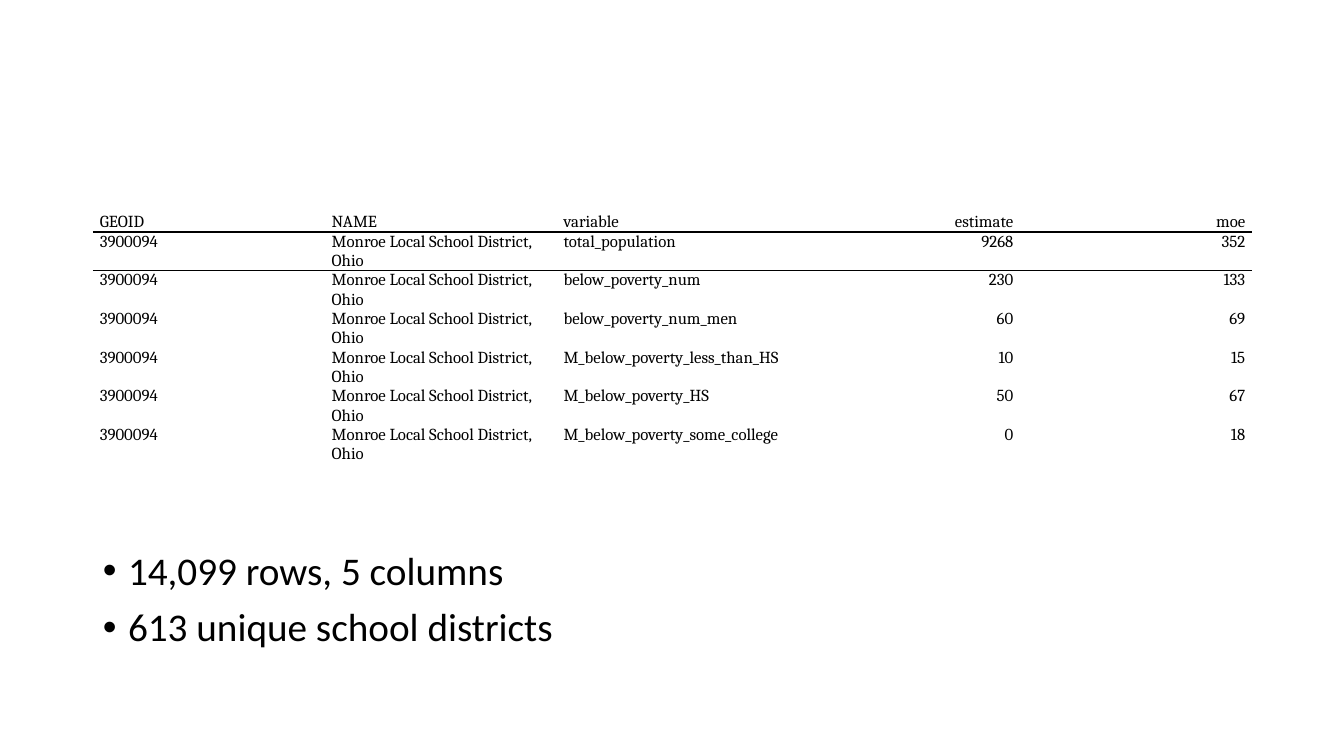
from pptx import Presentation, util as u
from pptx.dml.color import RGBColor
from pptx.enum import text
from pptx.oxml import parse_xml
from pptx.oxml.ns import nsdecls

BLACK = RGBColor(0x00, 0x00, 0x00)
NO_STYLE = "{2D5ABB26-0587-4C30-8999-92F81FD0307C}"
LEFT, RIGHT = text.PP_ALIGN.LEFT, text.PP_ALIGN.RIGHT

HEADER = ("GEOID", "NAME", "variable", "estimate", "moe")
DISTRICT = ("3900094", "Monroe Local School District, Ohio")
ESTIMATES = [
    ("total_population", "9268", "352"),
    ("below_poverty_num", "230", "133"),
    ("below_poverty_num_men", "60", "69"),
    ("M_below_poverty_less_than_HS", "10", "15"),
    ("M_below_poverty_HS", "50", "67"),
    ("M_below_poverty_some_college", "0", "18"),
]
COL_WIDTHS = (2.3, 2.3, 2.71, 1.89, 2.3)
HEADER_HEIGHT, ROW_HEIGHT = 0.19, 0.38
FACTS = ("14,099 rows, 5 columns", "613 unique school districts")


def write(p, content, font, size, align=LEFT, before=0, after=0, spacing=1.0):
    p.alignment = align
    p.space_before, p.space_after = u.Pt(before), u.Pt(after)
    p.line_spacing = spacing
    r = p.add_run()
    r.text = content
    r.font.name, r.font.size = font, u.Pt(size)
    r.font.color.rgb = BLACK


def add_border(cell, side):
    cell._tc.get_or_add_tcPr().insert(0, parse_xml(
        f'<a:ln{side} {nsdecls("a")} w="12700"><a:solidFill>'
        f'<a:srgbClr val="{BLACK}"/></a:solidFill></a:ln{side}>'))


def fact_list(sp, left, top, width, height):
    """Bulleted facts along the bottom of the body placeholder."""
    sp.left, sp.top, sp.width, sp.height = map(
        u.Inches, (left, top, width, height))
    tf = sp.text_frame
    tf.vertical_anchor = text.MSO_ANCHOR.BOTTOM
    tf.margin_bottom = u.Inches(0.31)
    for i, fact in enumerate(FACTS):
        p = tf.add_paragraph() if i else tf.paragraphs[0]
        write(p, fact, "Calibri", 28, before=10, spacing=0.9)
        pPr = p._p.get_or_add_pPr()
        pPr.set("marL", str(u.Inches(0.25)))
        pPr.set("indent", str(u.Inches(-0.25)))
        pPr.append(parse_xml(f'<a:buFont {nsdecls("a")} typeface="Arial"/>'))
        pPr.append(parse_xml(f'<a:buChar {nsdecls("a")} char="•"/>'))


def estimate_table(s, left, top, width):
    """Plain table with one rule under its header."""
    rows = [HEADER] + [DISTRICT + estimate for estimate in ESTIMATES]
    height = HEADER_HEIGHT + ROW_HEIGHT * len(ESTIMATES)
    tbl = s.shapes.add_table(len(rows), len(HEADER), *map(
        u.Inches, (left, top, width, height))).table
    tbl.first_row = tbl.horz_banding = False
    tbl._tbl.tblPr[0].text = NO_STYLE
    for col, col_width in zip(tbl.columns, COL_WIDTHS):
        col.width = u.Inches(col_width)
    for i, row in enumerate(rows):
        tbl.rows[i].height = u.Inches(ROW_HEIGHT if i else HEADER_HEIGHT)
        for j, value in enumerate(row):
            cell = tbl.cell(i, j)
            cell.fill.background()
            cell.margin_left = cell.margin_right = u.Inches(0.07)
            cell.margin_top = cell.margin_bottom = 0
            write(cell.text_frame.paragraphs[0], value, "Cambria", 12,
                  align=RIGHT if j > 2 else LEFT, before=1.8, after=1.8)
            if i == 0:
                cell.vertical_anchor = text.MSO_ANCHOR.BOTTOM
                add_border(cell, "B")
            elif i == 1:
                add_border(cell, "T")


def main():
    prs = Presentation()
    prs.slide_width, prs.slide_height = u.Inches(13.33), u.Inches(7.5)
    s = prs.slides.add_slide(prs.slide_layouts[1])
    # The slide has no title
    title = s.shapes.title._element
    title.getparent().remove(title)
    fact_list(s.placeholders[1], 0.92, 2, 11.5, 4.76)
    estimate_table(s, 0.92, 2.11, 11.5)
    prs.save("out.pptx")


if __name__ == "__main__":
    main()
